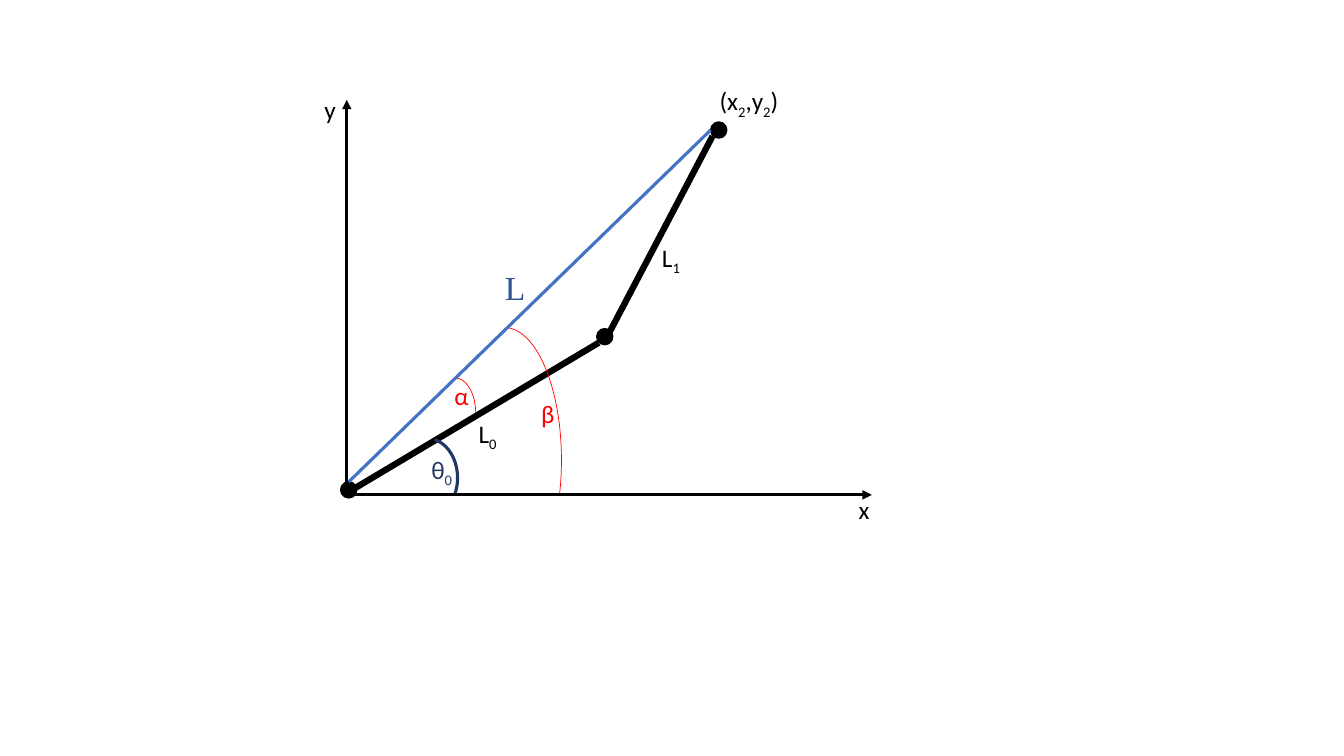
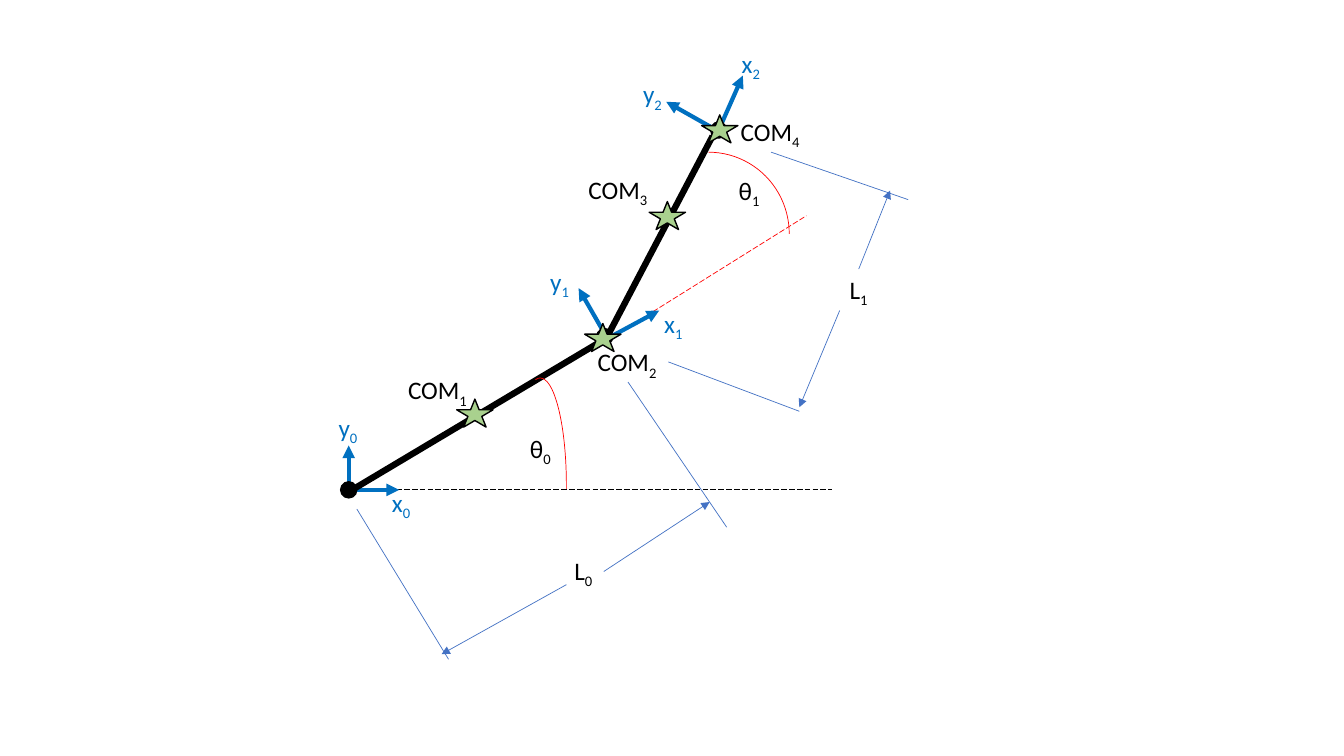
"""Draw two slides on the geometry of a two-link planar arm."""
from lxml import etree
from pptx import Presentation
from pptx.dml.color import RGBColor
from pptx.enum.dml import MSO_LINE
from pptx.enum.shapes import MSO_CONNECTOR, MSO_SHAPE
from pptx.enum.text import MSO_AUTO_SIZE
from pptx.oxml.ns import qn
from pptx.util import Pt

STRAIGHT = MSO_CONNECTOR.STRAIGHT
LONG_DASH = MSO_LINE.LONG_DASH
OVAL, ARC, STAR = MSO_SHAPE.OVAL, MSO_SHAPE.ARC, MSO_SHAPE.STAR_5_POINT
FIT_SHAPE = MSO_AUTO_SIZE.SHAPE_TO_FIT_TEXT

COLORS = {
    "black": "000000",
    "red": "FF0000",
    "blue": "4472C4",
    "dark_blue": "2F5597",
    "navy": "203864",
    "frame": "0070C0",
    "star": "A9D18E",
}
DOT_SIZE = 11.5
JOINTS = [(249.1, 349.9), (432, 240.5), (513.4, 92.9)]
LINKS = [
    ((245.5, 353.5), (427.7, 244.8)),
    ((435.6, 236.9), (509, 97.2)),
]


def add_line(slide, start, end, color, width, arrow=False, dashed=False):
    connector = slide.shapes.add_connector(
        STRAIGHT, Pt(start[0]), Pt(start[1]), Pt(end[0]), Pt(end[1]))
    connector.line.color.rgb = RGBColor.from_string(COLORS[color])
    connector.line.width = Pt(width)
    if dashed:
        connector.line.dash_style = LONG_DASH
    properties = connector._element.spPr
    if arrow:
        outline = properties.find(qn("a:ln"))
        etree.SubElement(outline, qn("a:tailEnd"), type="triangle")
    etree.SubElement(properties, qn("a:effectLst"))


def add_shape(slide, kind, left, top, width, height, fill, line, line_width):
    shape = slide.shapes.add_shape(kind, Pt(left), Pt(top), Pt(width), Pt(height))
    shape.shadow.inherit = False
    if fill:
        shape.fill.solid()
        shape.fill.fore_color.rgb = RGBColor.from_string(COLORS[fill])
    else:
        shape.fill.background()
    shape.line.color.rgb = RGBColor.from_string(COLORS[line])
    shape.line.width = Pt(line_width)
    return shape


inverse_kinematics = {
    "back_lines": [],
    "arcs": [
        (319.7, 234, 81.4, 189.4, 270.7, 31.18, "red", 0.5),
        (310.3, 270, 29.5, 50.4, 270, 0, "red", 0.5),
        (283.7, 313.2, 43.2, 56.2, 280.68, 31.18, "navy", 2.25),
    ],
    "front_lines": [
        ((249.1, 344.2), (507.6, 92.9), "blue", 2.25),
        ((249.1, 353.5), (622.8, 353.5), "black", 2.25, True),
        ((247.7, 349.9), (247.7, 71.3), "black", 2.25, True),
    ],
    "stars": [],
    "labels": [
        ("(x|2|,y|2|)", 506.9, 57.6, 58, "black"),
        ("α", 317.5, 267.8, 25, "red"),
        ("β", 379.4, 280.8, 25, "red"),
        ("L", 353.5, 187.2, 27, "dark_blue", "Times New Roman", 24),
        ("L|0", 334.8, 295.2, 28, "black"),
        ("L|1", 465.8, 169.2, 28, "black"),
        ("θ|0", 301, 321.1, 30, "navy"),
        ("y", 224.6, 64.1, 23, "black"),
        ("x", 606.2, 349.9, 22, "black"),
    ],
}

frames_and_masses = {
    "back_lines": [
        ((254.9, 349.9), (594, 349.9), "black", 0.5, False, True),
        ((509, 91.4), (475.9, 72.7), "frame", 3, True),
        ((513.4, 92.9), (530.6, 54), "frame", 3, True),
        ((432.7, 239.8), (413.3, 205.9), "frame", 3, True),
        ((251.3, 349.9), (285.1, 349.9), "frame", 3, True),
        ((249.1, 349.9), (249.1, 318.2), "frame", 3, True),
    ],
    "arcs": [
        (367.2, 270, 37.4, 153.4, 267.4, 7.76, "red", 0.5),
        (448.6, 108.7, 115.2, 116.6, 270, 0, "red", 0.5),
    ],
    "front_lines": [
        ((437.8, 240.5), (576, 154.1), "red", 0.5, False, True),
        ((436.3, 240.5), (470.9, 221.8), "frame", 3, True),
        ((519.1, 376.6), (448.6, 272.9), "blue", 0.5),
        ((320.4, 470.9), (254.9, 363.6), "blue", 0.5),
        ((431.3, 408.2), (506.9, 358.6), "blue", 0.5, True),
        ((404.6, 417.6), (315.4, 467.3), "blue", 0.5, True),
        ((550.8, 108.7), (648.7, 142.6), "blue", 0.5),
        ((477.4, 258.5), (571, 293.8), "blue", 0.5),
        ((613.4, 192.2), (635.8, 136.1), "blue", 0.5, True),
        ((599.8, 221.8), (571, 290.9), "blue", 0.5, True),
    ],
    "stars": [(326.2, 285.1), (417.6, 231.1), (463.7, 144), (501.1, 82.1)],
    "labels": [
        ("L|0", 403.2, 393.1, 28, "black"),
        ("L|1", 599.8, 192.2, 28, "black"),
        ("θ|0", 371.5, 306, 30, "black"),
        ("θ|1", 520.6, 121.7, 30, "black"),
        ("x|0", 272.9, 344.2, 29, "frame"),
        ("y|0", 234.7, 290.9, 29, "frame"),
        ("x|1", 467.3, 216.7, 29, "frame"),
        ("y|1", 385.9, 186.5, 29, "frame"),
        ("x|2", 522.7, 31, 29, "frame"),
        ("y|2", 452.2, 52.6, 29, "frame"),
        ("COM|1", 284.4, 264.2, 58, "black"),
        ("COM|2", 419.8, 244.1, 58, "black"),
        ("COM|3", 413.3, 121, 58, "black"),
        ("COM|4", 522, 79.2, 58, "black"),
    ],
}

presentation = Presentation()
presentation.slide_width = Pt(960)
presentation.slide_height = Pt(540)

for diagram in (inverse_kinematics, frames_and_masses):
    slide = presentation.slides.add_slide(presentation.slide_layouts[6])

    for line in diagram["back_lines"]:
        add_line(slide, *line)
    for x, y in JOINTS:
        add_shape(slide, OVAL, x - DOT_SIZE / 2, y - DOT_SIZE / 2,
                  DOT_SIZE, DOT_SIZE, "black", "black", 1)
    for start, end in LINKS:
        add_line(slide, start, end, "black", 4.5)

    for left, top, width, height, first, last, color, weight in diagram["arcs"]:
        arc = add_shape(slide, ARC, left, top, width, height, None, color, weight)
        arc.adjustments[0] = first * 0.6
        arc.adjustments[1] = last * 0.6

    for line in diagram["front_lines"]:
        add_line(slide, *line)
    for left, top in diagram["stars"]:
        add_shape(slide, STAR, left, top, 26, 20, "star", "black", 1)

    for text, left, top, width, color, *style in diagram["labels"]:
        font_name, size = style or ("Calibri", 18)
        label = slide.shapes.add_textbox(
            Pt(left), Pt(top), Pt(width), Pt(size * 1.2 + 7.2))
        label.text_frame.word_wrap = False
        label.text_frame.auto_size = FIT_SHAPE
        paragraph = label.text_frame.paragraphs[0]
        for index, piece in enumerate(text.split("|")):
            run = paragraph.add_run()
            run.text = piece
            run.font.name = font_name
            run.font.size = Pt(size)
            run.font.color.rgb = RGBColor.from_string(COLORS[color])
            if index % 2:
                run.font._element.set("baseline", "-25000")

presentation.save("out.pptx")
